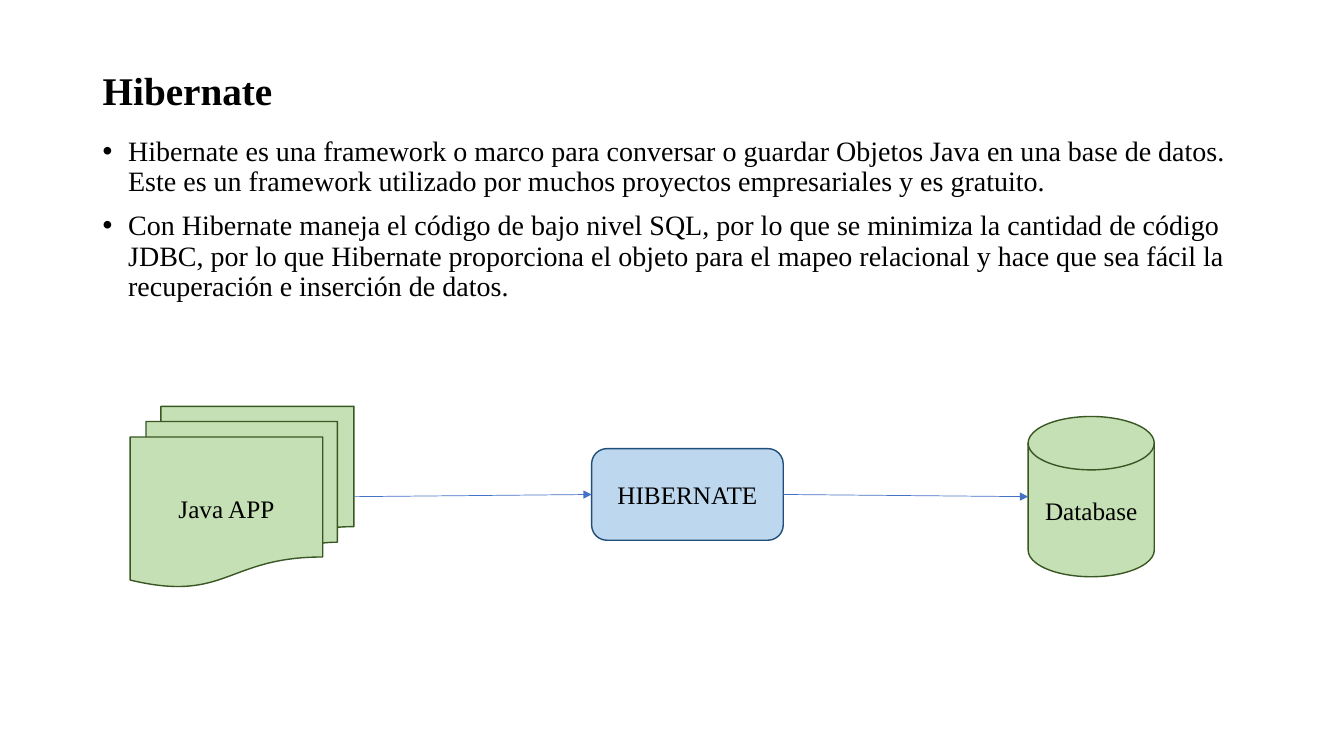
from pptx import Presentation
from pptx.dml.color import RGBColor as Rgb
from pptx.enum.shapes import MSO_CONNECTOR as Link, MSO_SHAPE as Kind
from pptx.enum.text import MSO_ANCHOR as Anchor, PP_ALIGN as Align
from pptx.oxml.ns import qn
from pptx.util import Cm, Pt
from lxml.etree import SubElement as Sub

FONT = "Times New Roman"
BLACK, GREEN, MOSS = "000000", "C5E0B4", "385723"
SKY, NAVY, BLUE = "BDD7EE", "1F4E79", "4472C4"
POINTS = [
    "Hibernate es una framework o marco para conversar o guardar Objetos Java en una base de datos. "
    "Este es un framework utilizado por muchos proyectos empresariales y es gratuito.",
    "Con Hibernate maneja el código de bajo nivel SQL, por lo que se minimiza la cantidad de código JDBC, "
    "por lo que Hibernate proporciona el objeto para el mapeo relacional y hace que sea fácil la "
    "recuperación e inserción de datos.",
]


def color(code):
    return Rgb.from_string(code)


def write(para, text, size, bold=False):
    run = para.add_run()
    run.text = text
    run.font.name = FONT
    run.font.size = Pt(size)
    run.font.bold = bold
    run.font.color.rgb = color(BLACK)


def frame(slide, box, anchor):
    text = slide.shapes.add_textbox(*map(Cm, box)).text_frame
    text.word_wrap = True
    text.vertical_anchor = anchor
    return text


def title(slide, box, text):
    para = frame(slide, box, Anchor.MIDDLE).paragraphs[0]
    para.line_spacing = 0.9
    write(para, text, 28, True)


def body(slide, box, points):
    text = frame(slide, box, Anchor.TOP)
    for i, point in enumerate(points):
        para = text.add_paragraph() if i else text.paragraphs[0]
        para.line_spacing = 0.9
        para.space_before = Pt(10)
        props = para._p.get_or_add_pPr()
        indent = Cm(0.64)
        props.set("marL", str(indent))
        props.set("indent", str(-indent))
        Sub(props, qn("a:buFont"), typeface="Arial")
        Sub(props, qn("a:buChar"), char="•")
        write(para, point, 20)


def node(slide, kind, box, text, fill, line):
    shape = slide.shapes.add_shape(kind, *map(Cm, box))
    shape.shadow.inherit = False
    shape.fill.solid()
    shape.fill.fore_color.rgb = color(fill)
    shape.line.color.rgb = color(line)
    shape.line.width = Pt(1)
    shape.text_frame.vertical_anchor = Anchor.MIDDLE
    para = shape.text_frame.paragraphs[0]
    para.alignment = Align.CENTER
    write(para, text, 18)
    return shape


def arrow(slide, start, end):
    link = slide.shapes.add_connector(Link.STRAIGHT, *start, *end)
    link.line.color.rgb = color(BLUE)
    link.line.width = Pt(0.5)
    Sub(link.line._get_or_add_ln(), qn("a:tailEnd"), type="triangle")
    Sub(link._element.spPr, qn("a:effectLst"))
    return link


def side(shape, right):
    return shape.left + shape.width * right, shape.top + shape.height // 2


def flow(slide, box):
    left, top, width, height = box
    mid = top + height / 2
    app = node(slide, Kind.FLOWCHART_MULTIDOCUMENT, (left, top, 5.64, height),
               "Java APP", GREEN, MOSS)
    core = node(slide, Kind.ROUNDED_RECTANGLE, (left + 11.63, mid - 1.21, 4.83, 2.31),
                "HIBERNATE", SKY, NAVY)
    base = node(slide, Kind.FLOWCHART_MAGNETIC_DISK, (left + width - 3.18, mid - 2.02, 3.18, 4.04),
                "Database", GREEN, MOSS)
    arrow(slide, side(app, 1), side(core, 0)).end_connect(core, 1)
    arrow(slide, side(core, 1), side(base, 0)).begin_connect(core, 3)


def main():
    deck = Presentation()
    deck.slide_width, deck.slide_height = Cm(33.87), Cm(19.05)
    slide = deck.slides.add_slide(deck.slide_layouts[6])
    title(slide, (2.34, 1.35, 29.21, 1.98), "Hibernate")
    body(slide, (2.34, 3.33, 29.21, 5.56), POINTS)
    flow(slide, (3.28, 10.24, 25.81, 4.55))
    deck.save("out.pptx")


if __name__ == "__main__":
    main()
